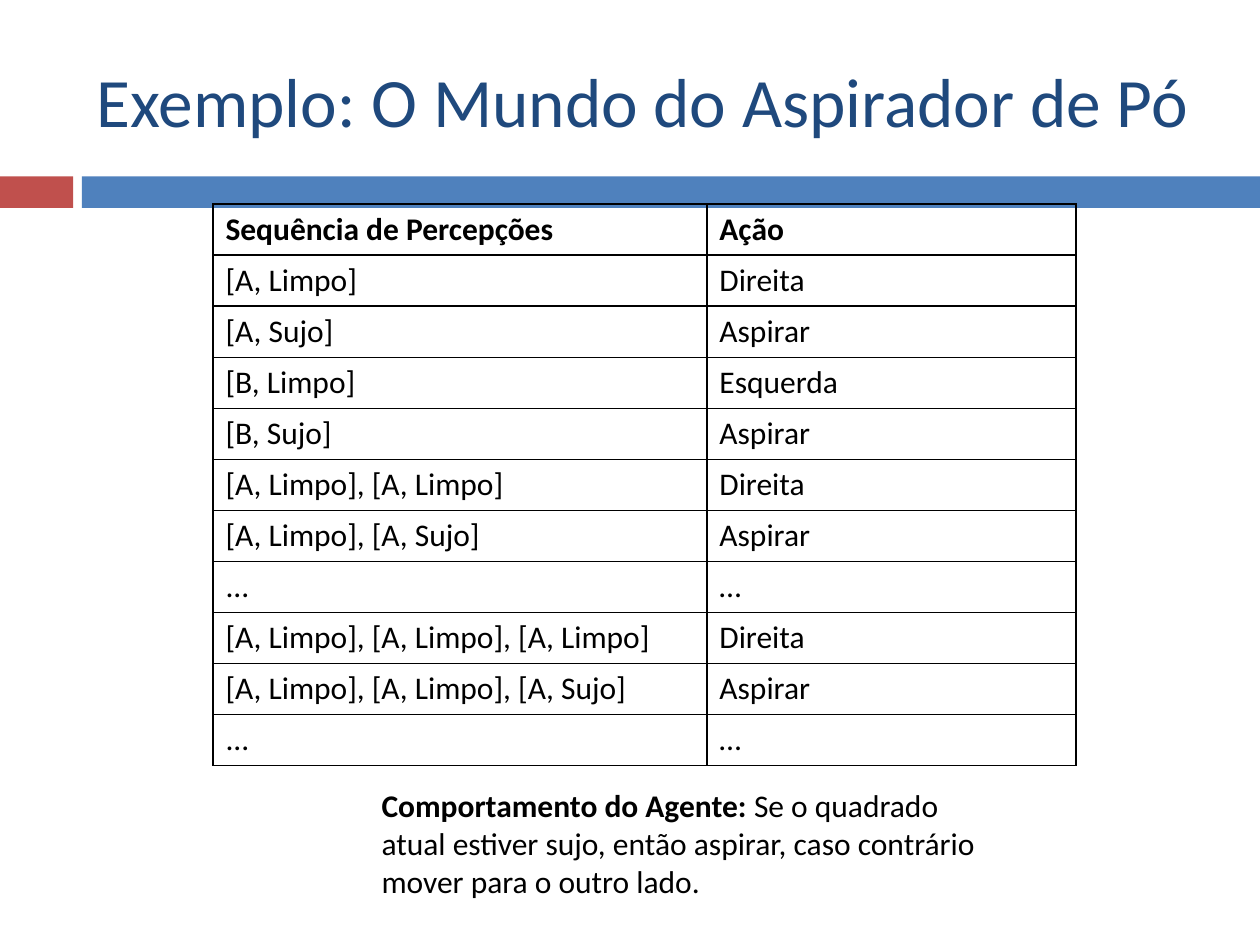
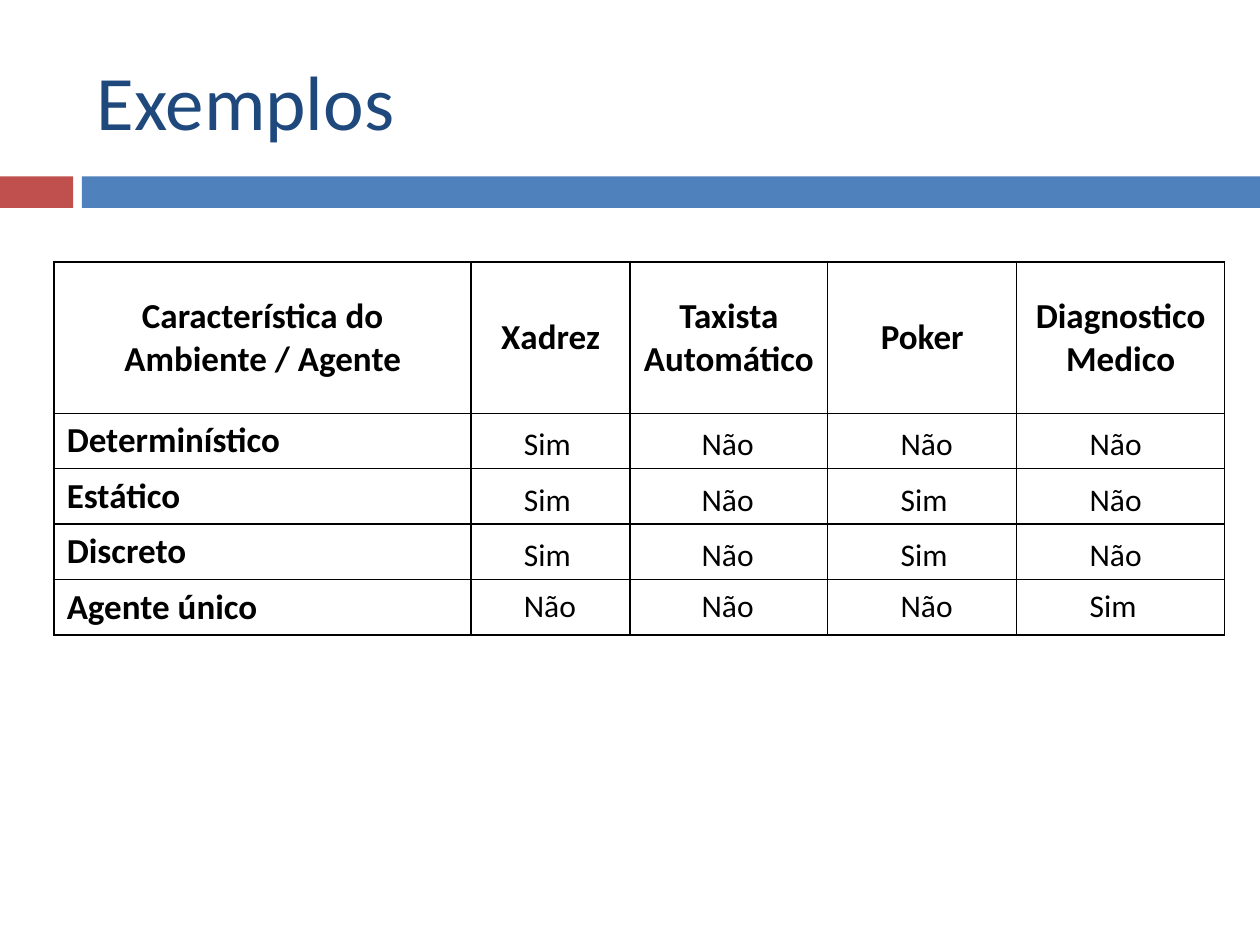
"""Build two slides on agents: the vacuum world and example environments."""
from dataclasses import dataclass

from lxml.etree import SubElement as Sub
from pptx import Presentation
from pptx.dml.color import RGBColor as Rgb
from pptx.enum.shapes import MSO_SHAPE as Shape
from pptx.enum.text import MSO_ANCHOR as Anchor, PP_ALIGN as Align
from pptx.oxml.ns import qn
from pptx.util import Inches, Pt


@dataclass(frozen=True)
class Theme:
    """Hold the colours and type sizes of the deck."""
    font: str = "Calibri"
    title: Rgb = Rgb(0x1F, 0x49, 0x7D)
    red: Rgb = Rgb(0xC0, 0x50, 0x4D)
    blue: Rgb = Rgb(0x4F, 0x81, 0xBD)
    ink: Rgb = Rgb(0, 0, 0)
    big: float = 44
    long: float = 39.6
    head: float = 20
    body: float = 18
    edge: float = 1


THEME = Theme()

MOVES = [
    ("Sequência de Percepções", "Ação"),
    ("[A, Limpo]", "Direita"),
    ("[A, Sujo]", "Aspirar"),
    ("[B, Limpo]", "Esquerda"),
    ("[B, Sujo]", "Aspirar"),
    ("[A, Limpo], [A, Limpo]", "Direita"),
    ("[A, Limpo], [A, Sujo]", "Aspirar"),
    ("...", "…"),
    ("[A, Limpo], [A, Limpo], [A, Limpo]", "Direita"),
    ("[A, Limpo], [A, Limpo], [A, Sujo]", "Aspirar"),
    ("...", "…"),
]
AGENTS = ["Característica do Ambiente / Agente", "Xadrez",
          "Taxista Automático", "Poker", "Diagnostico Medico"]
TRAITS = ["Determinístico", "Estático", "Discreto", "Agente único"]
REPLIES = {
    4.06: ["Sim", "Sim", "Sim", "Não"],
    5.47: ["Não", "Não", "Não", "Não"],
    7.05: ["Não", "Sim", "Sim", "Não"],
    8.55: ["Não", "Não", "Não", "Sim"],
}
REPLY_TOPS = [3.32, 3.76, 4.2, 4.6]


def style(run, size, color=THEME.ink, bold=False):
    """Set the font of a run."""
    font = run.font
    font.name, font.size, font.bold = THEME.font, Pt(size), bold
    font.color.rgb = color


def add_band(slide, left, width, color):
    """Draw one part of the band under the title."""
    band = slide.shapes.add_shape(
        Shape.RECTANGLE, Inches(left), Inches(1.4), Inches(width), Inches(0.25))
    band.shadow.inherit = False
    band.fill.solid()
    band.fill.fore_color.rgb = color
    band.line.fill.background()


def add_text(slide, box, parts, size, color=THEME.ink):
    """Add a text box from pairs of wording and boldness."""
    frame = slide.shapes.add_textbox(*map(Inches, box)).text_frame
    frame.word_wrap = True
    for words, bold in parts:
        run = frame.paragraphs[0].add_run()
        run.text = words
        style(run, size, color, bold)
    return frame


def add_slide(deck, title, size):
    """Add a slide with its title and band."""
    slide = deck.slides.add_slide(deck.slide_layouts[6])
    add_band(slide, 0, 0.58, THEME.red)
    add_band(slide, 0.65, 9.35, THEME.blue)
    frame = add_text(slide, (0.67, 0.25, 8.92, 1.08), [(title, False)],
                     size, THEME.title)
    frame.vertical_anchor = Anchor.MIDDLE
    return slide


def add_edges(cell):
    """Draw all four borders of a cell."""
    props = cell._tc.get_or_add_tcPr()
    for side in ("a:lnL", "a:lnR", "a:lnT", "a:lnB"):
        line = Sub(props, qn(side), w=str(Pt(THEME.edge)))
        fill = Sub(line, qn("a:solidFill"))
        Sub(fill, qn("a:srgbClr"), val=str(THEME.ink))


def fill_cell(cell, words, size, bold):
    """Give a cell its borders and wording, with no fill."""
    add_edges(cell)
    cell.fill.background()
    cell.text_frame.text = words
    for run in cell.text_frame.paragraphs[0].runs:
        style(run, size, bold=bold)


def add_grid(slide, spot, cols, highs, rows, size, side_bold=False):
    """Add a ruled table with a bold first row and return it."""
    box = (*spot, sum(cols), sum(highs))
    grid = slide.shapes.add_table(
        len(rows), len(cols), *map(Inches, box)).table
    grid.first_row = grid.horz_banding = False
    for col, width in zip(grid.columns, cols):
        col.width = Inches(width)
    for row, high in zip(grid.rows, highs):
        row.height = Inches(high)
    for r, row in enumerate(rows):
        for c, words in enumerate(row):
            fill_cell(grid.cell(r, c), words, size, r == 0 or side_bold)
    return grid


def add_vacuum(deck):
    """Build the slide on the vacuum world."""
    slide = add_slide(deck, "Exemplo: O Mundo do Aspirador de Pó", THEME.long)
    count = len(MOVES)
    add_grid(slide, (1.69, 1.62), [3.92, 2.93], [4.46 / count] * count,
             MOVES, THEME.body)
    note = [("Comportamento do Agente: ", True),
            ("Se o quadrado atual estiver sujo, então aspirar, "
             "caso contrário mover para o outro lado.", False)]
    add_text(slide, (2.93, 6.19, 5.06, 1.01), note, THEME.body)


def add_worlds(deck):
    """Build the slide that compares environments."""
    slide = add_slide(deck, "Exemplos", THEME.big)
    blank = [""] * (len(AGENTS) - 1)
    rows = [AGENTS] + [[trait] + blank for trait in TRAITS]
    grid = add_grid(slide, (0.43, 2.08), [3.31, 1.26, 1.57, 1.5, 1.65],
                    [1.2] + [0.44] * len(TRAITS), rows, THEME.head, True)
    for cell in grid.rows[0].cells:
        cell.vertical_anchor = Anchor.MIDDLE
        cell.text_frame.paragraphs[0].alignment = Align.CENTER
    for left, words in REPLIES.items():
        for top, reply in zip(REPLY_TOPS, words):
            add_text(slide, (left, top, 0.65, 0.4), [(reply, False)],
                     THEME.body)


def main():
    """Build and save the deck."""
    deck = Presentation()
    deck.slide_width, deck.slide_height = Inches(10), Inches(7.5)
    add_vacuum(deck)
    add_worlds(deck)
    deck.save("out.pptx")


if __name__ == "__main__":
    main()
